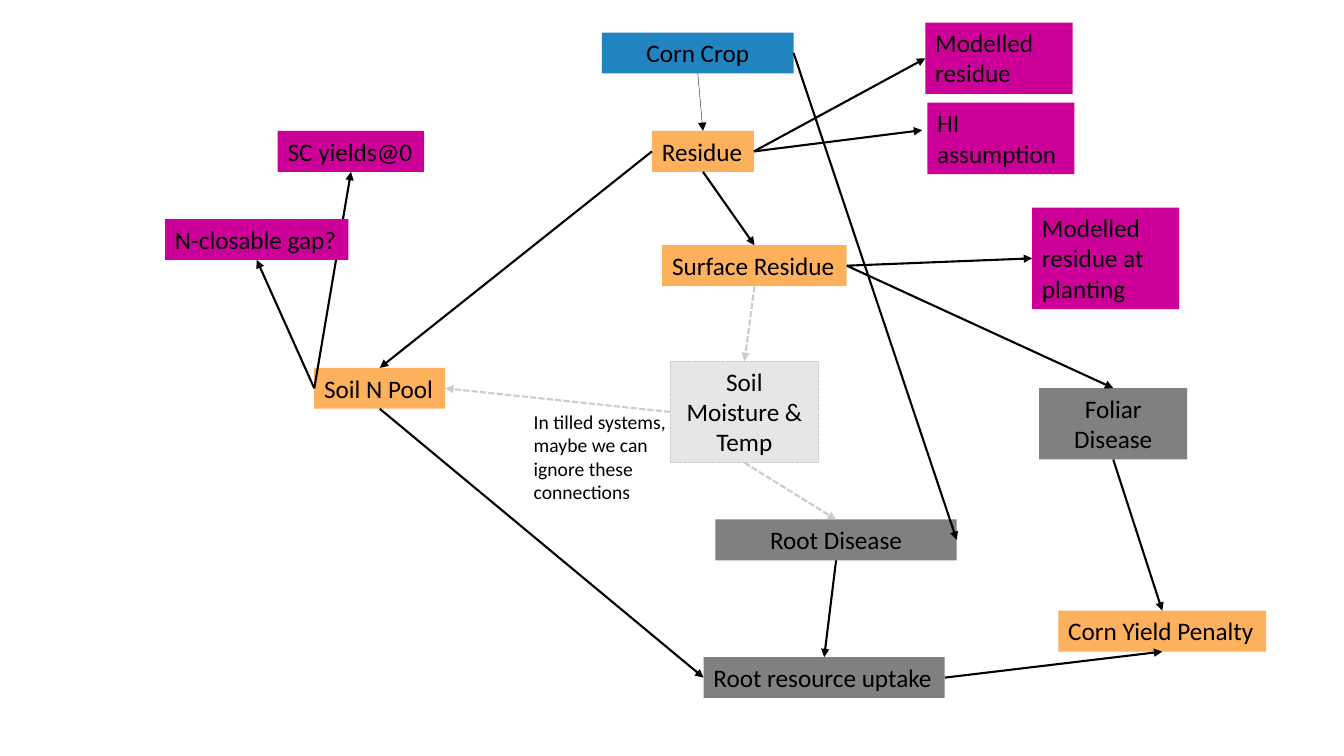
from dataclasses import dataclass

from lxml.etree import SubElement
from pptx import Presentation
from pptx.dml.color import RGBColor
from pptx.enum.dml import MSO_LINE
from pptx.enum.shapes import MSO_CONNECTOR, MSO_SHAPE
from pptx.enum.text import MSO_ANCHOR, MSO_AUTO_SIZE, PP_ALIGN
from pptx.oxml.ns import qn
from pptx.shapes.autoshape import Shape
from pptx.slide import Slide
from pptx.text.text import TextFrame
from pptx.util import Cm, Pt

FONT = "Calibri"
BLACK, PALE = "000000", "CCCCCC"
ORANGE, GREY, LIGHT_GREY = "FDB15C", "808080", "E6E6E6"
BLUE, MAGENTA = "2184C0", "CC0099"
TOP, LEFT, BOTTOM, RIGHT = range(4)
LINE_HEIGHTS = {1: 1.03, 2: 1.8, 3: 2.56}


@dataclass(frozen=True)
class Box:
    text: str
    left: float
    top: float
    width: float
    fill: str
    lines: int = 1
    centred: bool = False
    wrap: bool = False
    outline: str | None = None


@dataclass(frozen=True)
class Arrow:
    source: str
    source_side: int
    target: str
    target_side: int
    color: str = BLACK
    weight: float = 1.5
    free_end: tuple[float, float] | None = None


DIAGRAM = [
    Box("Soil N Pool", 7.92, 9.27, 3.3, ORANGE),
    Box("Corn Yield Penalty", 26.67, 15.39, 5.24, ORANGE),
    Box("Residue", 16.43, 3.3, 2.57, ORANGE),
    Box("Soil Moisture & Temp", 16.89, 9.1, 3.74, LIGHT_GREY, 3, True, True, PALE),
    Box("Root Disease", 18.03, 13.09, 6.08, GREY, 1, True, True),
    Box("Root resource uptake", 17.73, 16.56, 6.08, GREY),
    Box("Corn Crop", 15.17, 0.82, 4.83, BLUE, 1, True, True),
    Box("Foliar Disease", 26.19, 9.78, 3.73, GREY, 2, True, True),
    Box("Surface Residue", 16.69, 6.18, 4.65, ORANGE),
    Box("SC yields@0", 7.0, 3.3, 3.69, MAGENTA),
    Box("Modelled residue at planting", 26.01, 5.23, 3.71, MAGENTA, 3, False, True),
    Box("Modelled residue", 23.32, 0.57, 3.71, MAGENTA, 2, False, True),
    Box("HI assumption", 23.37, 2.59, 3.71, MAGENTA, 2, False, True),
    Arrow("Corn Crop", BOTTOM, "Residue", TOP, weight=0.25),
    Arrow("Soil Moisture & Temp", BOTTOM, "Root Disease", TOP, PALE),
    Arrow("Surface Residue", BOTTOM, "Soil Moisture & Temp", TOP, PALE),
    Arrow("Soil Moisture & Temp", LEFT, "Soil N Pool", RIGHT, PALE),
    Arrow("Surface Residue", RIGHT, "Foliar Disease", TOP),
    Arrow("Residue", LEFT, "Soil N Pool", TOP),
    Arrow("Root Disease", BOTTOM, "Root resource uptake", TOP),
    Arrow("Soil N Pool", BOTTOM, "Root resource uptake", LEFT),
    Arrow("Root resource uptake", RIGHT, "Corn Yield Penalty", BOTTOM),
    Arrow("Foliar Disease", BOTTOM, "Corn Yield Penalty", TOP),
    Arrow("Residue", BOTTOM, "Surface Residue", TOP),
    Arrow("Surface Residue", RIGHT, "Modelled residue at planting", LEFT),
    Arrow("Corn Crop", RIGHT, "Root Disease", RIGHT),
    Arrow("Residue", RIGHT, "Modelled residue", LEFT),
    Arrow("Residue", RIGHT, "HI assumption", LEFT, free_end=(23.24, 3.28)),
    Arrow("Soil N Pool", LEFT, "SC yields@0", BOTTOM),
    Box("N-closable gap?", 4.16, 5.52, 4.62, MAGENTA),
    Arrow("Soil N Pool", LEFT, "N-closable gap?", BOTTOM),
]


def rgb(color: str) -> RGBColor:
    return RGBColor.from_string(color)


def write(frame: TextFrame, text: str, size: float, centred: bool, wrap: bool) -> None:
    frame.word_wrap = wrap
    frame.auto_size = MSO_AUTO_SIZE.SHAPE_TO_FIT_TEXT
    paragraph = frame.paragraphs[0]
    paragraph.alignment = PP_ALIGN.CENTER if centred else PP_ALIGN.LEFT
    run = paragraph.add_run()
    run.text = text
    run.font.name = FONT
    run.font.size = Pt(size)
    run.font.color.rgb = rgb(BLACK)


def draw_box(slide: Slide, box: Box) -> Shape:
    shape = slide.shapes.add_shape(
        MSO_SHAPE.RECTANGLE, Cm(box.left), Cm(box.top),
        Cm(box.width), Cm(LINE_HEIGHTS[box.lines]),
    )
    shape.shadow.inherit = False
    shape.fill.solid()
    shape.fill.fore_color.rgb = rgb(box.fill)
    if box.outline:
        shape.line.color.rgb = rgb(box.outline)
        shape.line.width = Pt(0.75)
        shape.line.dash_style = MSO_LINE.SQUARE_DOT
    else:
        shape.line.fill.background()
    shape.text_frame.vertical_anchor = MSO_ANCHOR.TOP
    write(shape.text_frame, box.text, 18, box.centred, box.wrap)
    return shape


def draw_arrow(slide: Slide, arrow: Arrow, shapes: dict[str, Shape]) -> None:
    end_x, end_y = arrow.free_end or (0, 0)
    connector = slide.shapes.add_connector(
        MSO_CONNECTOR.STRAIGHT, 0, 0, Cm(end_x), Cm(end_y)
    )
    connector.begin_connect(shapes[arrow.source], arrow.source_side)
    if not arrow.free_end:
        connector.end_connect(shapes[arrow.target], arrow.target_side)
    connector.line.color.rgb = rgb(arrow.color)
    connector.line.width = Pt(arrow.weight)
    if arrow.color == PALE:
        connector.line.dash_style = MSO_LINE.SQUARE_DOT
    properties = connector.element.spPr
    SubElement(properties.find(qn("a:ln")), qn("a:tailEnd"), type="triangle")
    SubElement(properties, qn("a:effectLst"))


def draw_note(slide: Slide) -> None:
    note = slide.shapes.add_textbox(Cm(13.2), Cm(10.2), Cm(3.86), Cm(2.64))
    text = "In tilled systems, maybe we can ignore these connections"
    write(note.text_frame, text, 14, False, True)


presentation = Presentation()
presentation.slide_width = Cm(33.87)
presentation.slide_height = Cm(19.05)
slide = presentation.slides.add_slide(presentation.slide_layouts[6])

shapes: dict[str, Shape] = {}
for item in DIAGRAM:
    if isinstance(item, Box):
        shapes[item.text] = draw_box(slide, item)
    else:
        draw_arrow(slide, item, shapes)
draw_note(slide)

presentation.save("out.pptx")
